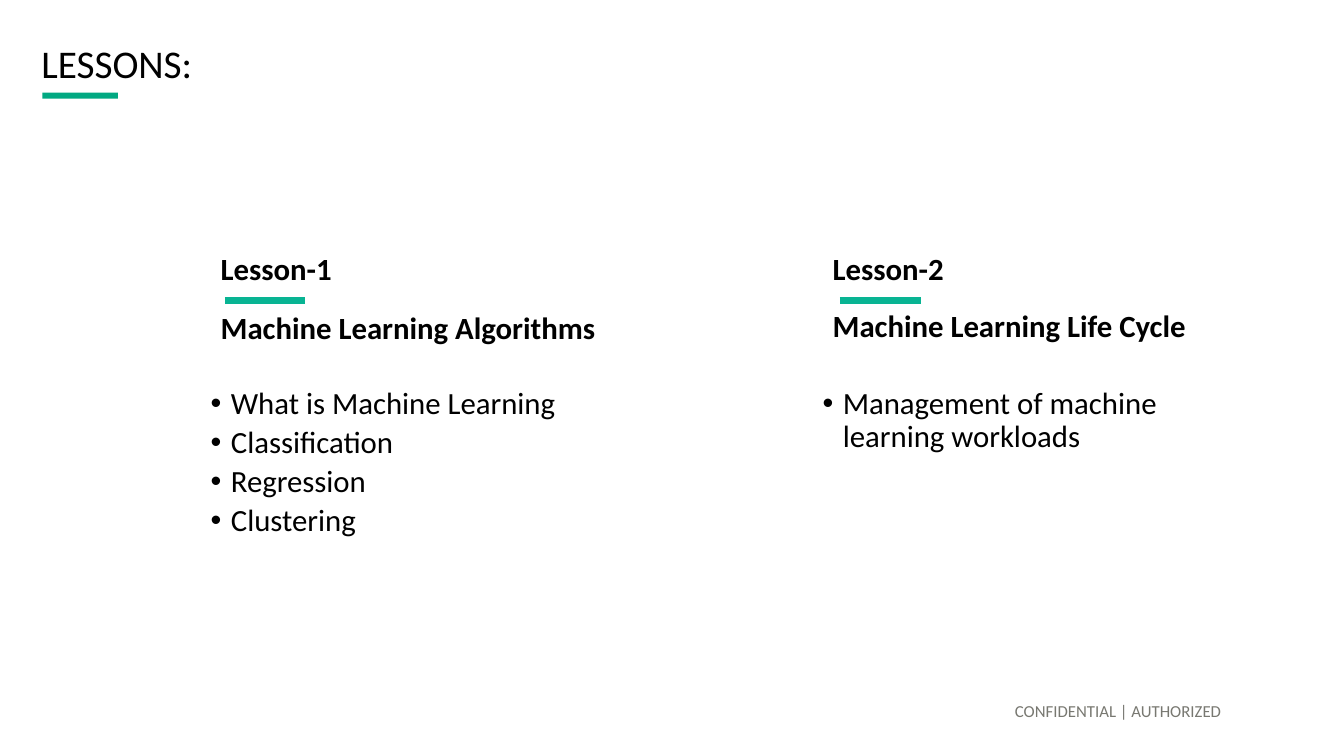
import dataclasses

import pptx
import pptx.dml.color
import pptx.enum.shapes
import pptx.enum.text
import pptx.oxml
import pptx.oxml.ns
import pptx.util
from pptx.util import Inches

Align = pptx.enum.text.PP_ALIGN
Anchor = pptx.enum.text.MSO_ANCHOR


@dataclasses.dataclass(frozen=True)
class Theme:
    """Colours, font and type sizes of the slide."""

    font: str = "Calibri"
    text: str = "000000"
    muted: str = "787871"
    bar: str = "01A982"
    accent: str = "08B493"
    title_size: int = 28
    body_size: int = 22
    footer_size: int = 12


THEME = Theme()

LESSONS = [
    (2.09, 0.14, 3.0, "Lesson-1", "Machine Learning Algorithms",
     ["What is Machine Learning", "Classification", "Regression", "Clustering"]),
    (8.16, 0.17, 2.98, "Lesson-2", "Machine Learning Life Cycle",
     ["Management of machine learning workloads"]),
]


def rgb(value):
    """Return a colour object for a hex string."""
    return pptx.dml.color.RGBColor.from_string(value)


def add_bullet(para):
    """Give a paragraph a round bullet with a hanging indent."""
    properties = para._p.get_or_add_pPr()
    properties.set("marL", str(Inches(0.2)))
    properties.set("indent", str(-Inches(0.2)))
    namespace = pptx.oxml.ns.nsdecls("a")
    properties.append(pptx.oxml.parse_xml(f'<a:buFont {namespace} typeface="Arial"/>'))
    properties.append(pptx.oxml.parse_xml(f'<a:buChar {namespace} char="•"/>'))


def write(box, lines, size, color=THEME.text, bold=False, bullets=False,
          align=Align.LEFT, anchor=Anchor.TOP, margins=(0.1, 0.1)):
    """Fill a box with formatted paragraphs."""
    frame = box.text_frame
    frame.text = "\n".join(lines)
    frame.word_wrap = True
    frame.auto_size = pptx.enum.text.MSO_AUTO_SIZE.NONE
    frame.vertical_anchor = anchor
    frame.margin_left = frame.margin_right = Inches(margins[0])
    frame.margin_top = frame.margin_bottom = Inches(margins[1])
    for index, para in enumerate(frame.paragraphs):
        para.alignment = align
        para.line_spacing = 0.9
        para.space_before = pptx.util.Pt(4 if bullets and index else 0)
        if bullets:
            add_bullet(para)
        for span in para.runs:
            span.font.name = THEME.font
            span.font.size = pptx.util.Pt(size)
            span.font.bold = bold
            span.font.color.rgb = rgb(color)


def add_text(page, left, top, width, height, lines, size, **style):
    """Add a text box and fill it."""
    box = page.shapes.add_textbox(Inches(left), Inches(top), Inches(width), Inches(height))
    write(box, lines, size, **style)


def add_bar(page, left, top, width, height):
    """Add a plain filled bar."""
    bar = page.shapes.add_shape(pptx.enum.shapes.MSO_SHAPE.RECTANGLE, Inches(left),
                                Inches(top), Inches(width), Inches(height))
    bar.shadow.inherit = False
    bar.fill.solid()
    bar.fill.fore_color.rgb = rgb(THEME.bar)
    bar.line.fill.background()


def add_rule(page, left, top, width):
    """Add a thick horizontal accent line."""
    rule = page.shapes.add_connector(pptx.enum.shapes.MSO_CONNECTOR.STRAIGHT, Inches(left),
                                     Inches(top), Inches(left + width), Inches(top))
    rule.line.color.rgb = rgb(THEME.accent)
    rule.line.width = pptx.util.Pt(4.5)
    namespace = pptx.oxml.ns.nsdecls("a")
    rule._element.spPr.append(pptx.oxml.parse_xml(f"<a:effectLst {namespace}/>"))


def add_heading(page, left, top, width, height):
    """Place the slide title with the bar under it."""
    title = page.shapes.title
    title.left, title.top = Inches(left), Inches(top)
    title.width, title.height = Inches(width), Inches(height)
    write(title, ["LESSONS:"], THEME.title_size, anchor=Anchor.MIDDLE)
    add_bar(page, left + 0.11, top + height + 0.05, 0.75, 0.06)


def add_lesson(page, left, top, width, rule_offset, name_top, label, name, topics):
    """Place one lesson: label, accent line, name and topics."""
    add_text(page, left, top, width, 0.42, [label], THEME.body_size, bold=True)
    add_rule(page, left + rule_offset, top + 0.56, 0.8)
    add_text(page, left, name_top, width, 0.42, [name], THEME.body_size, bold=True)
    add_text(page, left, top + 1.33, width - 0.11, 2.8, topics, THEME.body_size,
             bullets=True, margins=(0, 0.1))


def add_footer(page, left, top, width, height):
    """Place the confidentiality note."""
    add_text(page, left, top, width, height, ["CONFIDENTIAL | AUTHORIZED "],
             THEME.footer_size, color=THEME.muted, align=Align.RIGHT,
             anchor=Anchor.BOTTOM, margins=(0.1, 0))


def main():
    """Build the lessons slide and save it."""
    deck = pptx.Presentation()
    deck.slide_width, deck.slide_height = Inches(13.33), Inches(7.5)
    page = deck.slides.add_slide(deck.slide_layouts[5])
    add_heading(page, 0.31, 0.43, 12.57, 0.44)
    for left, rule_offset, name_top, label, name, topics in LESSONS:
        add_lesson(page, left, 2.42, 4.08, rule_offset, name_top, label, name, topics)
    add_footer(page, 4.07, 6.7, 8.18, 0.45)
    deck.save("out.pptx")


if __name__ == "__main__":
    main()
